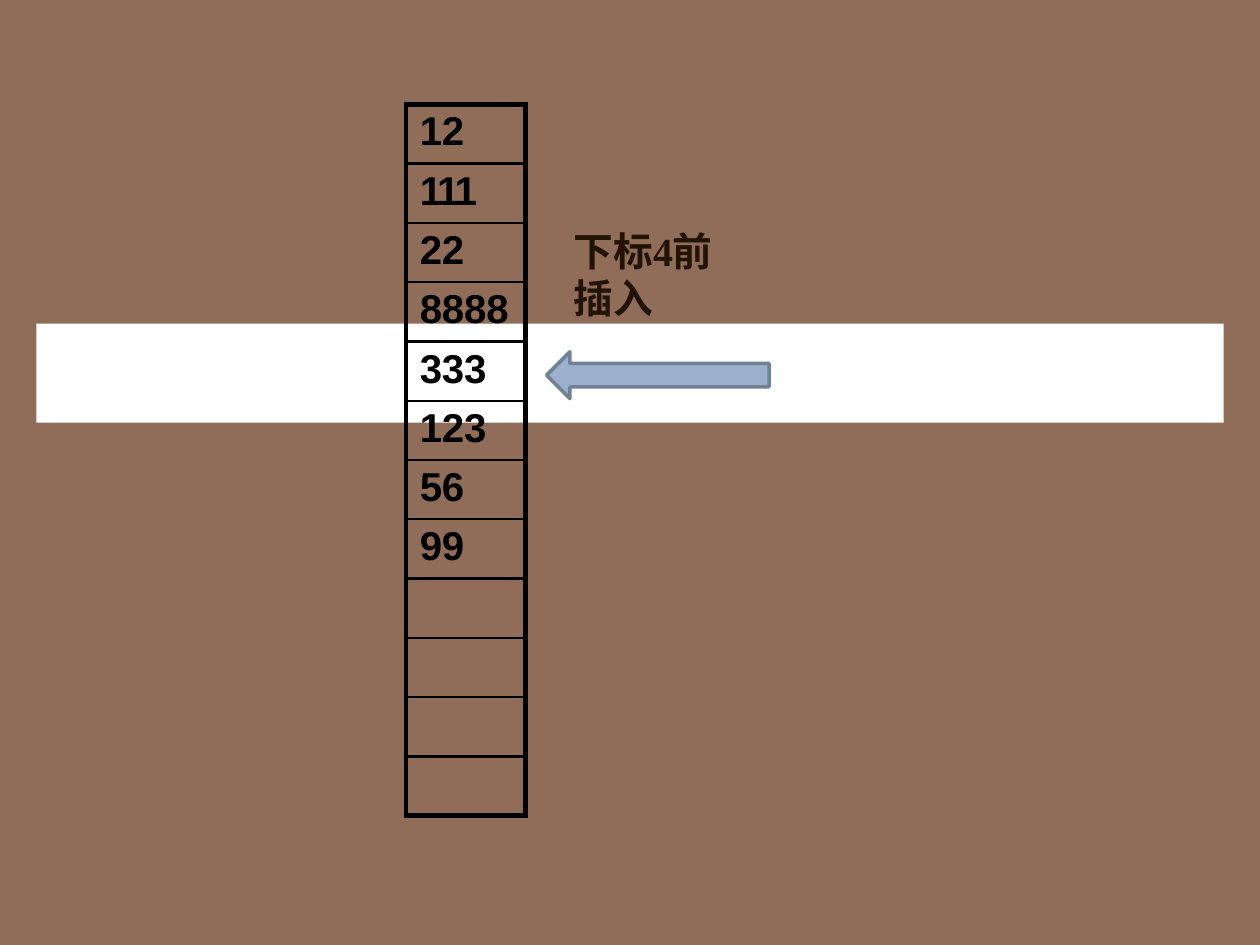
from pptx import Presentation
from pptx import util as u
from pptx.dml import color
from pptx.enum import shapes, text
from pptx.oxml import ns, xmlchemy

VALUES = ["12", "111", "22", "8888", "333", "123", "56", "99"]
SLOTS = 12
SLOT_HEIGHT = 33.9
THICK, THIN = 3, 1.5


def rgb(hex_code):
    return color.RGBColor.from_string(hex_code)


def paint(target, hex_code):
    target.fill.solid()
    target.fill.fore_color.rgb = rgb(hex_code)


def add_block(slide, kind, box, fill, outline=None):
    block = slide.shapes.add_shape(kind, *(u.Pt(v) for v in box))
    block.shadow.inherit = False
    paint(block, fill)
    if outline:
        block.line.color.rgb = rgb(outline)
        block.line.width = u.Pt(2)
    else:
        block.line.fill.background()


def add_run(paragraph, words, font, size, hex_code, spacing=0):
    run = paragraph.add_run()
    run.text = words
    run.font.name = font
    run.font.size = u.Pt(size)
    run.font.bold = True
    run.font.color.rgb = rgb(hex_code)
    properties = run.font._element
    if spacing:
        properties.set("spc", str(round(spacing * 100)))
    east_asian = xmlchemy.OxmlElement("a:ea")
    east_asian.set("typeface", font)
    properties.find(ns.qn("a:latin")).addnext(east_asian)


def add_caption(slide, box, pieces):
    caption = slide.shapes.add_textbox(*(u.Pt(v) for v in box))
    frame = caption.text_frame
    frame.word_wrap = True
    frame.vertical_anchor = text.MSO_ANCHOR.TOP
    frame.margin_left, frame.margin_top = u.Pt(0.9), u.Pt(0.8)
    frame.margin_right = frame.margin_bottom = 0
    line = frame.paragraphs[0]
    line.space_before = u.Pt(0.8)
    line.line_spacing = u.Pt(26.9)
    for words, font in pieces:
        add_run(line, words, font, 22.7, "221304")


def set_borders(cell, widths):
    properties = cell._tc.get_or_add_tcPr()
    for position, (side, width) in enumerate(widths.items()):
        border = xmlchemy.OxmlElement(f"a:{side}")
        border.set("w", str(u.Pt(width)))
        fill = xmlchemy.OxmlElement("a:solidFill")
        black = xmlchemy.OxmlElement("a:srgbClr")
        black.set("val", "000000")
        fill.append(black)
        border.append(fill)
        properties.insert(position, border)


def add_array(slide, left, top, width):
    frame = slide.shapes.add_table(
        SLOTS, 1, u.Pt(left), u.Pt(top), u.Pt(width), u.Pt(SLOTS * SLOT_HEIGHT))
    array = frame.table
    array.first_row = array.horz_banding = False
    for index in range(SLOTS):
        array.rows[index].height = u.Pt(SLOT_HEIGHT)
        slot = array.cell(index, 0)
        slot.fill.background()
        set_borders(slot, {
            "lnL": THICK,
            "lnR": THICK,
            "lnT": THICK if index == 0 else THIN,
            "lnB": THICK if index == SLOTS - 1 else THIN,
        })
        slot.margin_left, slot.margin_top = u.Pt(7.9), u.Pt(2.9)
        slot.margin_right = slot.margin_bottom = 0
        if index < len(VALUES):
            value = VALUES[index]
            line = slot.text_frame.paragraphs[0]
            line.space_before = u.Pt(3.2)
            spacing = -1.6 if value == "111" else -0.1
            add_run(line, value, "Arial", 23, "000000", spacing)


def main():
    deck = Presentation()
    deck.slide_width, deck.slide_height = u.Pt(720), u.Pt(540)
    slide = deck.slides.add_slide(deck.slide_layouts[6])
    paint(slide.background, "906D58")
    add_caption(slide, (326.9, 128.9, 80.6, 55.4), [
        ("下标", "Noto Sans CJK SC"),
        ("4", "Times New Roman"),
        ("前 插入", "Noto Sans CJK SC"),
    ])
    add_block(slide, shapes.MSO_SHAPE.RECTANGLE, (20.8, 185, 678.5, 56.5), "FFFFFF")
    add_block(slide, shapes.MSO_SHAPE.LEFT_ARROW, (312.3, 201, 127.2, 26.8),
              "9BB0CB", "718095")
    add_array(slide, 232, 59.6, 68.4)
    deck.save("out.pptx")


if __name__ == "__main__":
    main()
